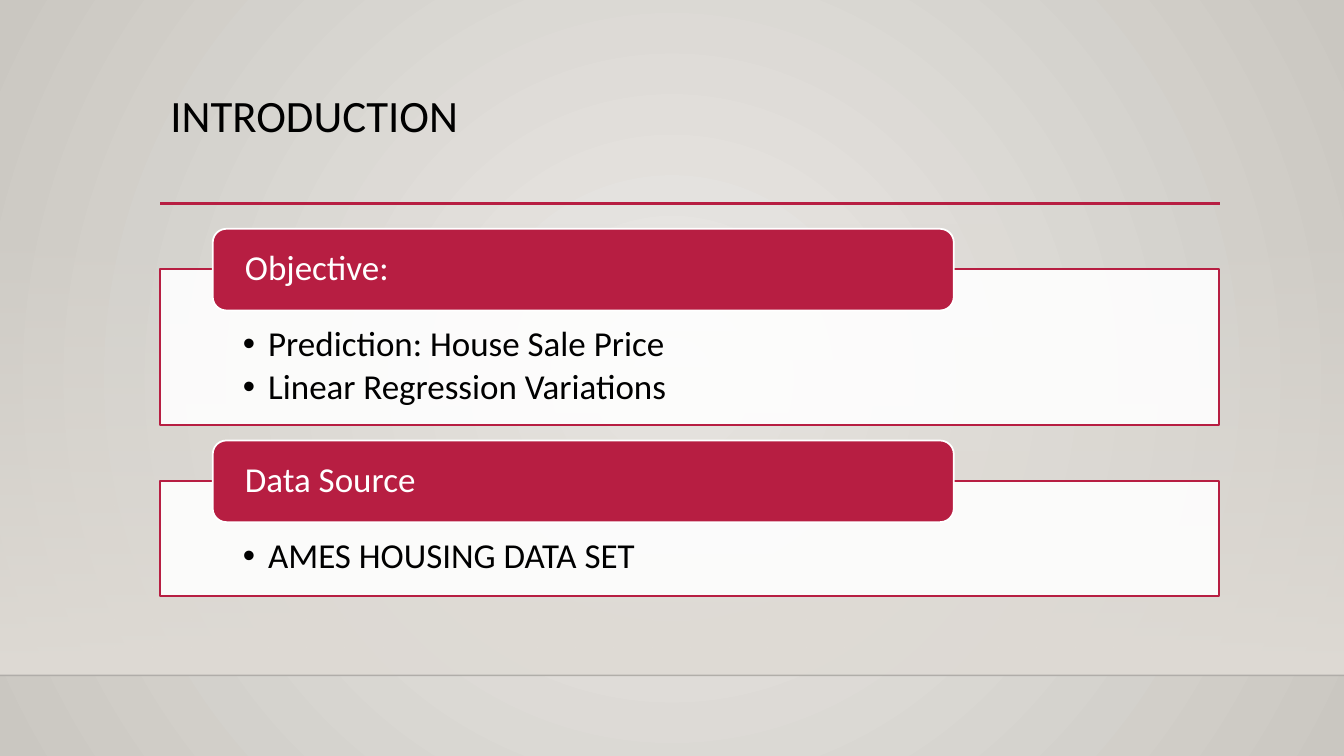
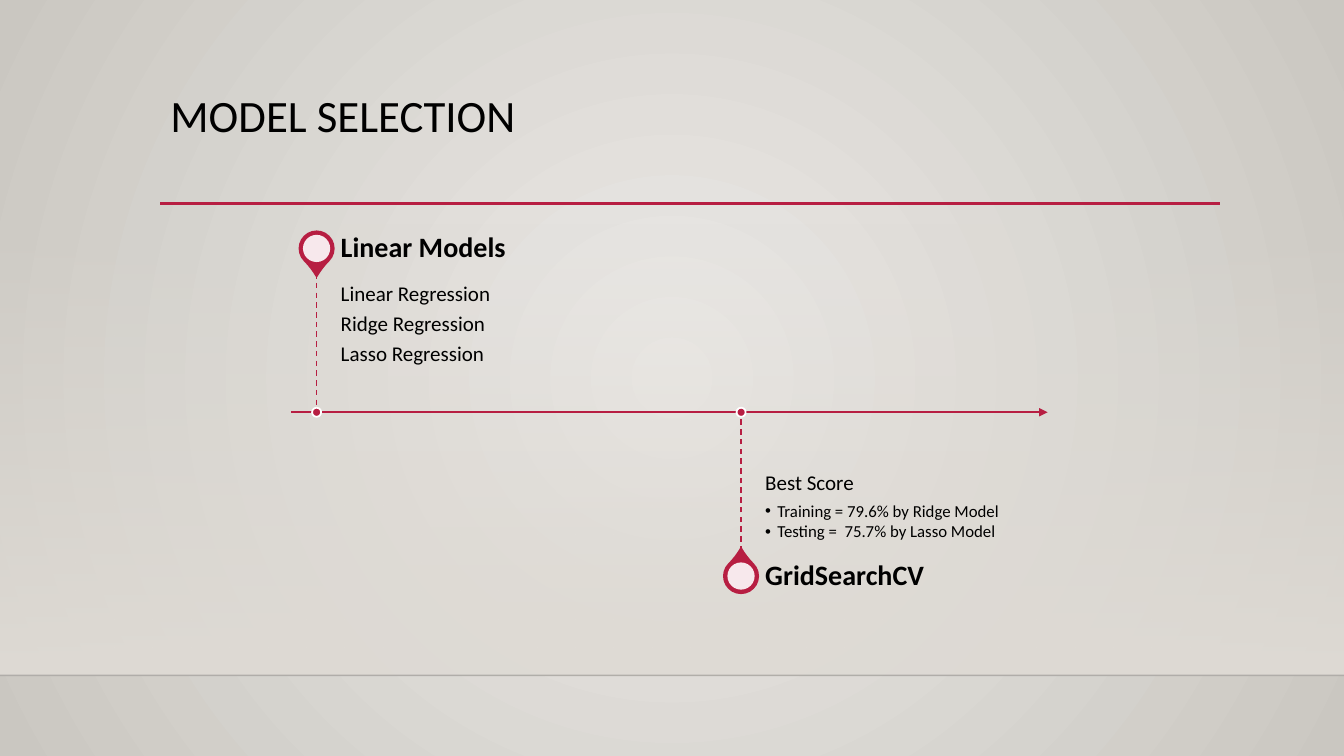
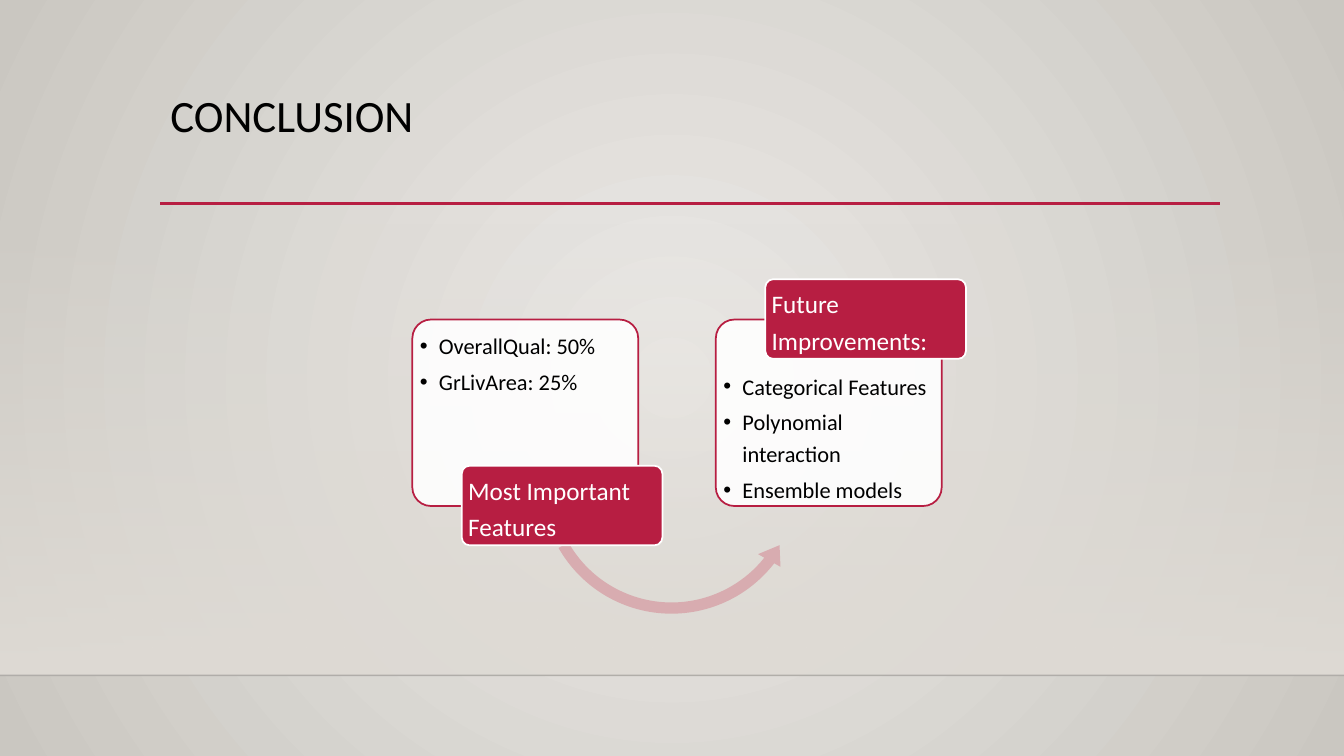
import dataclasses

import lxml.etree
import pptx
import pptx.dml.color
import pptx.enum.dml
import pptx.enum.shapes
import pptx.enum.text
import pptx.oxml.ns
import pptx.util

Inches = pptx.util.Inches
Pt = pptx.util.Pt
SHAPES = pptx.enum.shapes.MSO_SHAPE
ANCHOR = pptx.enum.text.MSO_ANCHOR
qn = pptx.oxml.ns.qn

FONT = "Calibri"
COLORS = {
    "accent": "B71E42",
    "white": "FFFFFF",
    "text": "000000",
    "glow": "ECEAE7",
    "edge": "CAC7C1",
    "wall": "DFDBD5",
    "floor": "000001",
    "arrow": "D8ACB0",
}
SLIDE_W, SLIDE_H = 13.33, 7.5
MARGIN, CONTENT_W = 1.59, 10.5
FLOOR_Y = 6.7


@dataclasses.dataclass
class Style:
    size: float
    color: str = "text"
    spacing: float = 0.9
    after: float = 0.35  # share of the text size
    indent: float = 0  # hanging indent of a bullet, in inches
    bold: bool = False


TITLE = Style(32, after=0)
PANEL_HEADING = Style(25, "white")
PANEL_BULLET = Style(25, after=0.15, indent=0.25)
MILESTONE_HEADING = Style(20, bold=True)
MILESTONE_TEXT = Style(15)
MILESTONE_BULLET = Style(12, after=0.15, indent=0.12)
CARD_LABEL = Style(18, "white", spacing=1.2)
CARD_BULLET = Style(16, spacing=1.2, after=0.15, indent=0.19)


def rgb(name):
    return pptx.dml.color.RGBColor.from_string(COLORS[name])


def set_alpha(color_parent, percent):
    """Make the first colour below an element partly transparent."""
    color = next(color_parent.iter(qn("a:srgbClr")))
    lxml.etree.SubElement(color, qn("a:alpha")).set("val", str(percent * 1000))


def set_gradient(fill, first, last):
    fill.gradient()
    for stop, name, position in zip(fill.gradient_stops, (first, last), (0, 1)):
        stop.color.rgb = rgb(name)
        stop.position = position


# Text
def write(frame, lines, insets=(0, 0, 0, 0), anchor=ANCHOR.TOP):
    """Fill a text frame with (text, style) lines."""
    frame.word_wrap = True
    frame.auto_size = pptx.enum.text.MSO_AUTO_SIZE.NONE
    frame.vertical_anchor = anchor
    (frame.margin_left, frame.margin_top,
     frame.margin_right, frame.margin_bottom) = map(Inches, insets)
    frame.text = "\n".join(text for text, _ in lines)
    for paragraph, (_, style) in zip(frame.paragraphs, lines):
        paragraph.alignment = pptx.enum.text.PP_ALIGN.LEFT
        paragraph.line_spacing = style.spacing
        paragraph.space_after = Pt(style.size * style.after)
        if style.indent:
            add_bullet(paragraph, style.indent)
        for run in paragraph.runs:
            run.font.name = FONT
            run.font.size = Pt(style.size)
            run.font.bold = style.bold
            run.font.color.rgb = rgb(style.color)


def add_bullet(paragraph, indent):
    paragraph.level = 1
    properties = paragraph._p.get_or_add_pPr()
    properties.set("marL", str(Inches(indent)))
    properties.set("indent", str(-Inches(indent)))
    lxml.etree.SubElement(properties, qn("a:buFont")).set("typeface", "Arial")
    lxml.etree.SubElement(properties, qn("a:buChar")).set("char", "•")


def add_text(slide, box, lines, insets, anchor=ANCHOR.TOP):
    text_box = slide.shapes.add_textbox(*map(Inches, box))
    write(text_box.text_frame, lines, insets, anchor)


# Shapes and lines
def add_shape(slide, kind, box, fill, line=None, alpha=None, adjustments=()):
    shape = slide.shapes.add_shape(kind, *map(Inches, box))
    shape.shadow.inherit = False
    shape.fill.solid()
    shape.fill.fore_color.rgb = rgb(fill)
    if alpha is not None:
        set_alpha(shape.element.spPr, alpha)
    if line:
        shape.line.color.rgb = rgb(line)
        shape.line.width = Pt(1.25)
    else:
        shape.line.fill.background()
    for index, value in enumerate(adjustments):
        shape.adjustments[index] = value
    return shape


def add_line(slide, start, end, color, width):
    line = slide.shapes.add_connector(
        pptx.enum.shapes.MSO_CONNECTOR.STRAIGHT, *map(Inches, start + end))
    line.line.color.rgb = rgb(color)
    line.line.width = Pt(width)
    lxml.etree.SubElement(line.element.spPr, qn("a:effectLst"))
    return line


# Shared look
def set_background(layout):
    fill = layout.background.fill
    set_gradient(fill, "glow", "edge")
    gradient = next(layout.element.iter(qn("a:gradFill")))
    gradient.remove(gradient.find(qn("a:lin")))
    circle = lxml.etree.SubElement(gradient, qn("a:path"))
    circle.set("path", "circle")
    center = lxml.etree.SubElement(circle, qn("a:fillToRect"))
    for side in "ltrb":
        center.set(side, "50000")


def decorate_layout(layout, slide):
    """Draw the wall, floor and title rule, then move them to the layout."""
    set_background(layout)
    wall = add_shape(slide, SHAPES.RECTANGLE,
                     (0, 2.21, SLIDE_W, FLOOR_Y - 2.21), "wall")
    set_gradient(wall.fill, "wall", "wall")
    wall.fill.gradient_angle = 270
    set_alpha(wall.element.spPr, 0)
    floor = add_line(slide, (0, FLOOR_Y), (SLIDE_W, FLOOR_Y), "floor", 1)
    set_alpha(floor.element.spPr, 20)
    rule = add_line(slide, (MARGIN, 2.02), (12.1, 2.02), "accent", 2.5)
    for part in (wall, floor, rule):
        layout.shapes.element.append(part.element)


def add_title(slide, text):
    title = slide.shapes.title
    title.left, title.top, title.width, title.height = map(
        Inches, (MARGIN, 0.88, CONTENT_W, 1.15))
    write(title.text_frame, [(text, TITLE)], (0.1, 0.05, 0.1, 0.05))


# Introduction
def add_panel(slide, top, height, heading, bullets):
    panel = add_shape(slide, SHAPES.RECTANGLE, (MARGIN, top, CONTENT_W, height),
                      "white", "accent", alpha=90)
    write(panel.text_frame, [(bullet, PANEL_BULLET) for bullet in bullets],
          (0.82, 0.57, 0.82, 0.19))
    tab = add_shape(slide, SHAPES.ROUNDED_RECTANGLE,
                    (2.11, top - 0.4, 7.35, 0.81), "accent", "white")
    write(tab.text_frame, [(heading, PANEL_HEADING)], (0.28, 0, 0.28, 0),
          ANCHOR.MIDDLE)


def build_introduction(slide):
    add_title(slide, "INTRODUCTION")
    add_panel(slide, 2.67, 1.55, "Objective:",
              ["Prediction: House Sale Price", "Linear Regression Variations"])
    add_panel(slide, 4.77, 1.14, "Data Source", ["AMES HOUSING DATA SET"])


# Model selection
AXIS_Y = 4.09


def add_disc(slide, x, y, size, *colors, alpha=None):
    add_shape(slide, SHAPES.OVAL, (x - size / 2, y - size / 2, size, size),
              *colors, alpha=alpha)


def add_milestone(slide, x, above, heading, lines):
    heading_h, body_h, pin = 0.49, 1.38, 0.34
    text_x, text_w = x + 0.24, 2.73
    if above:
        heading_y, body_y = AXIS_Y - body_h - heading_h, AXIS_Y - body_h
        stem_y, rotation = body_y, 135
        insets, anchor = (0, 0.1, 0, 0.16), ANCHOR.TOP
    else:
        heading_y, body_y = AXIS_Y + body_h, AXIS_Y
        stem_y, rotation = heading_y, 315
        insets, anchor = (0, 0.16, 0.1, 0.1), ANCHOR.BOTTOM
    pin_y = heading_y + heading_h / 2

    marker = add_shape(slide, SHAPES.TEAR,
                       (x - pin / 2, pin_y - pin / 2, pin, pin),
                       "accent", "accent", adjustments=[1.15])
    marker.rotation = rotation
    add_disc(slide, x, pin_y, 0.27, "white", alpha=90)
    add_text(slide, (text_x, body_y, text_w, body_h), lines, insets, anchor)
    add_text(slide, (text_x, heading_y, text_w, heading_h),
             [(heading, MILESTONE_HEADING)], (0, 0, 0.14, 0), ANCHOR.MIDDLE)
    stem = add_line(slide, (x, stem_y), (x, AXIS_Y), "accent", 1)
    stem.line.dash_style = pptx.enum.dml.MSO_LINE.DASH
    add_disc(slide, x, AXIS_Y, 0.09, "accent", "white")


def build_model_selection(slide):
    add_title(slide, "MODEL SELECTION")
    axis = add_line(slide, (2.89, AXIS_Y), (10.39, AXIS_Y), "accent", 1.5)
    outline = axis.line._get_or_add_ln()
    lxml.etree.SubElement(outline, qn("a:tailEnd")).set("type", "triangle")
    models = ["Linear Regression", "Ridge Regression", "Lasso Regression"]
    add_milestone(slide, 3.14, True, "Linear Models",
                  [(model, MILESTONE_TEXT) for model in models])
    add_milestone(slide, 7.35, False, "GridSearchCV", [
        ("Best Score", MILESTONE_TEXT),
        ("Training = 79.6% by Ridge Model", MILESTONE_BULLET),
        ("Testing =  75.7% by Lasso Model", MILESTONE_BULLET),
    ])


# Conclusion
CARD_Y = 3.17


def add_card(slide, left, bullets, text_top):
    card = add_shape(slide, SHAPES.ROUNDED_RECTANGLE, (left, CARD_Y, 2.24, 1.85),
                     "white", "accent", alpha=90, adjustments=[0.1])
    write(card.text_frame, [(bullet, CARD_BULLET) for bullet in bullets],
          (0.02, text_top, 0.02, 0))


def add_card_label(slide, card_left, top, text):
    label = add_shape(slide, SHAPES.ROUNDED_RECTANGLE,
                      (card_left + 0.49, top, 1.99, 0.79),
                      "accent", "white", adjustments=[0.1])
    write(label.text_frame, [(text, CARD_LABEL)], (0.04, 0.03, 0.04, 0.03),
          ANCHOR.MIDDLE)


def build_conclusion(slide):
    add_title(slide, "CONCLUSION")
    features_x, improvements_x = 4.09, 7.1
    add_card(slide, features_x, ["OverallQual: 50%", "GrLivArea: 25%"], 0.02)
    add_shape(slide, SHAPES.LEFT_CIRCULAR_ARROW, (5.3, 3.44, 2.72, 2.72), "arrow",
              adjustments=[0.041, 5.101, 22.856, 90.245, 0.047])
    add_card_label(slide, features_x, 4.62, "Most Important Features")
    add_card(slide, improvements_x,
             ["Categorical Features", "Polynomial interaction", "Ensemble models"],
             0.42)
    add_card_label(slide, improvements_x, 2.77, "Future Improvements:")


def main():
    deck = pptx.Presentation()
    deck.slide_width, deck.slide_height = Inches(SLIDE_W), Inches(SLIDE_H)
    layout = deck.slide_layouts.get_by_name("Title Only")
    builders = (build_introduction, build_model_selection, build_conclusion)
    slides = [deck.slides.add_slide(layout) for _ in builders]
    decorate_layout(layout, slides[0])
    for build, slide in zip(builders, slides):
        build(slide)
    deck.save("out.pptx")


if __name__ == "__main__":
    main()
